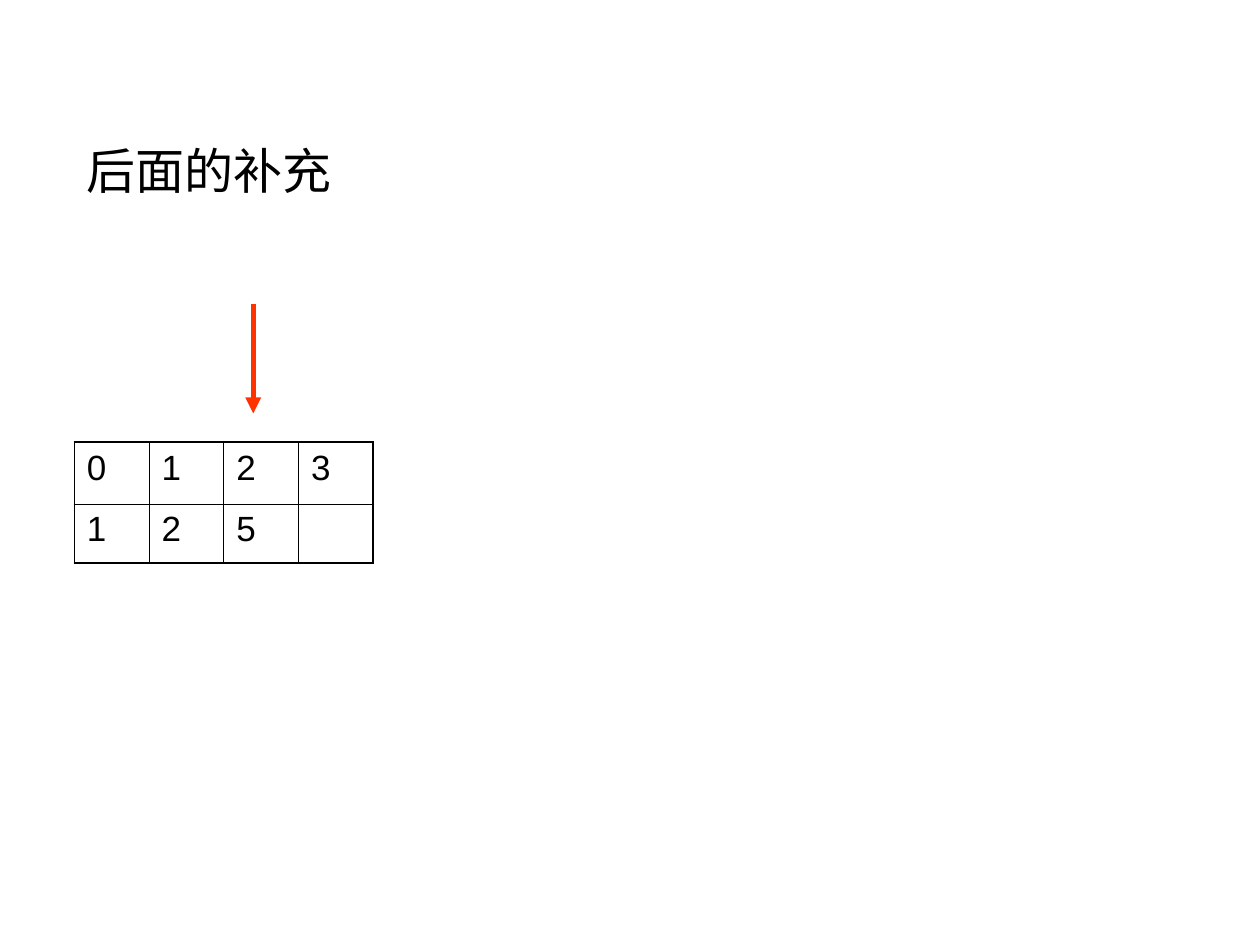
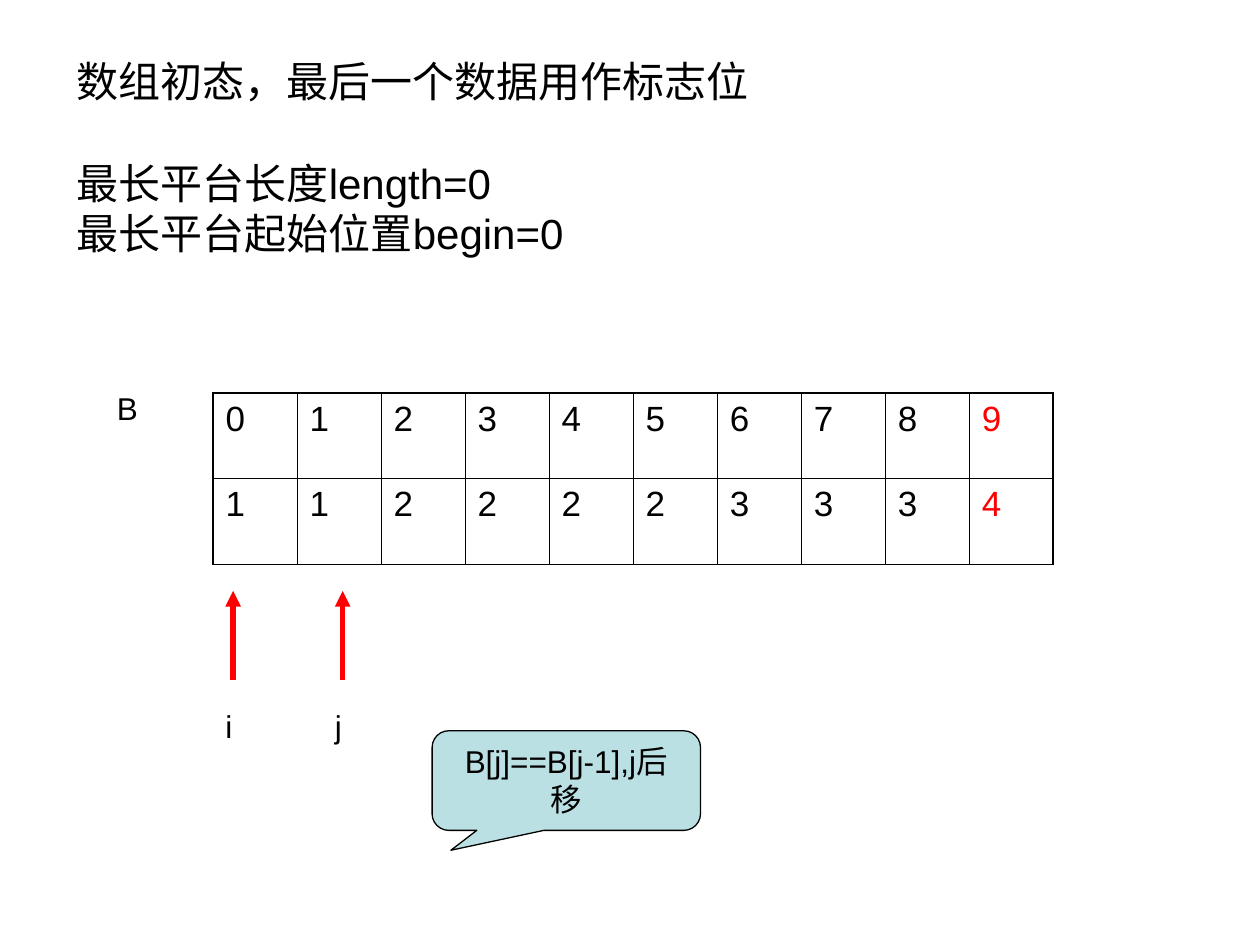
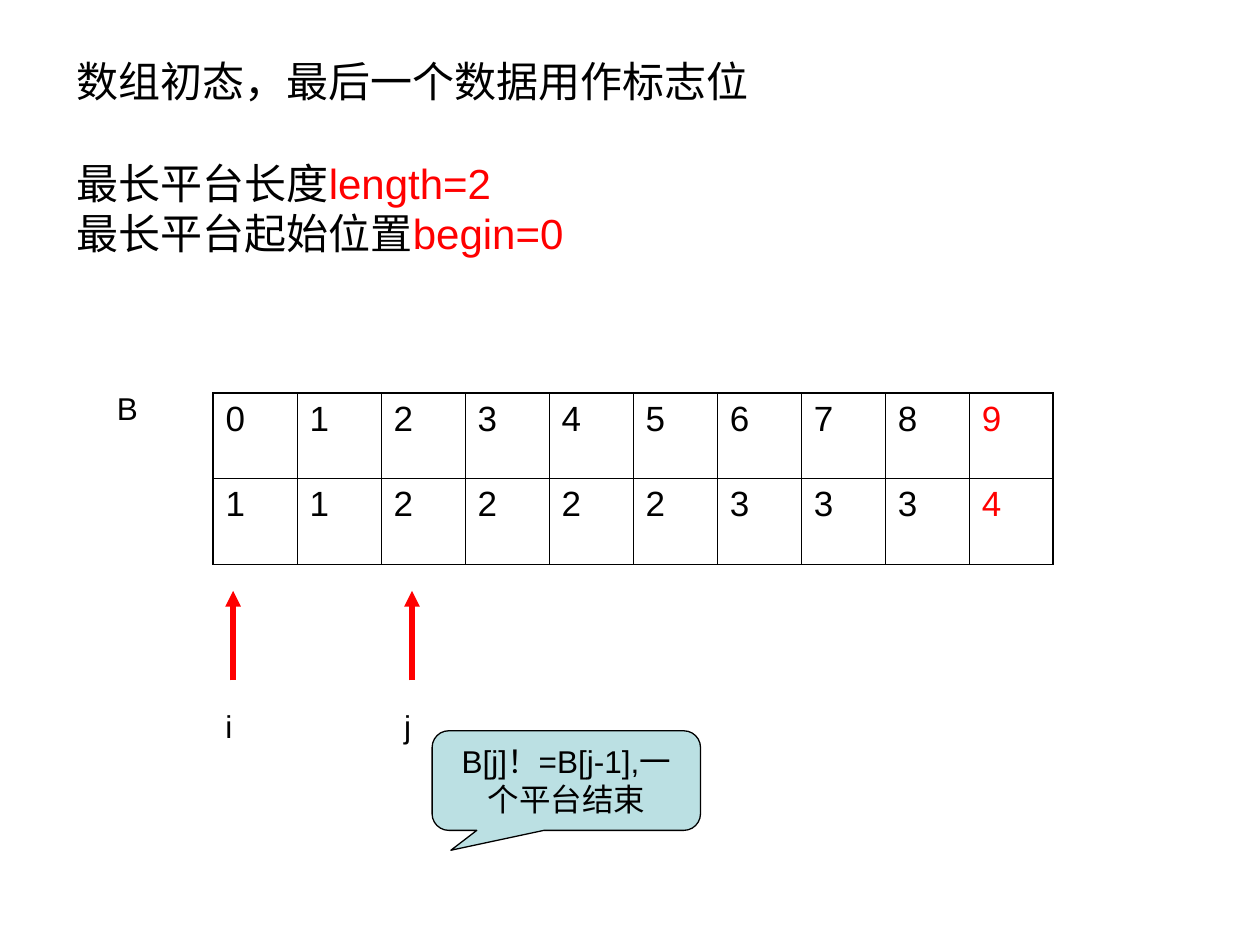
from lxml import etree
from pptx import Presentation
from pptx.dml.color import RGBColor
from pptx.enum.shapes import MSO_CONNECTOR, MSO_SHAPE
from pptx.enum.text import MSO_ANCHOR, PP_ALIGN
from pptx.oxml.ns import qn
from pptx.util import Inches, Pt

LINE = MSO_CONNECTOR.STRAIGHT
BUBBLE = MSO_SHAPE.ROUNDED_RECTANGULAR_CALLOUT
LEFT, MID = PP_ALIGN.LEFT, PP_ALIGN.CENTER
CENTRE = MSO_ANCHOR.MIDDLE
FONT = "Arial"
HEX = {"ink": "000000", "mark": "FF0000", "arrow": "FF3300", "bubble": "BBE0E3"}
INK = {name: RGBColor.from_string(code) for name, code in HEX.items()}

prs = Presentation()
prs.slide_width, prs.slide_height = Inches(10), Inches(7.5)
U = prs.slide_width // 100  # grid unit: a hundredth of the slide's width
THICK, THIN = Pt(1.08), Pt(0.45)


def add_arrow(shapes, x, start, end, ink):
    line = shapes.add_connector(LINE, int(x * U), int(start * U), int(x * U), int(end * U))
    line.line.color.rgb = INK[ink]
    line.line.width = Pt(3)
    etree.SubElement(line.line._get_or_add_ln(), qn("a:tailEnd"), type="triangle")
    etree.SubElement(line._element.spPr, qn("a:effectLst"))


def add_array(slide, x, y, step, heights, data, flag=None):
    rows, cols = len(data), len(data[0])
    table = slide.shapes.add_table(rows, cols, int(x * U), int(y * U),
                                   int(cols * step * U), int(sum(heights) * U)).table
    table.first_row = table.horz_banding = False
    for col in table.columns:
        col.width = int(step * U)
    for r, row in enumerate(data):
        table.rows[r].height = int(heights[r] * U)
        for c, text in enumerate(row):
            cell = table.cell(r, c)
            cell.text = text
            font = cell.text_frame.paragraphs[0].font
            font.name, font.size = FONT, Pt(20)
            font.color.rgb = INK["mark" if c == flag else "ink"]
            # Thick frame, thin inner lines
            outer = {"L": c == 0, "R": c == cols - 1, "T": r == 0, "B": r == rows - 1}
            props = cell._tc.get_or_add_tcPr()
            for side, edge in outer.items():
                border = etree.SubElement(props, qn(f"a:ln{side}"), w=str(THICK if edge else THIN))
                fill = etree.SubElement(border, qn("a:solidFill"))
                etree.SubElement(fill, qn("a:srgbClr"), val=HEX["ink"])
            cell.fill.background()


# What each slide says: title lines as (text, marked text), title box and size
HEAD = ("数组初态，最后一个数据用作标志位", "")
pages = [
    {"box": (5.9, 7.6, 85, 11.8), "size": 28, "lines": [("后面的补充", "")], "ink": "ink"},
    {"box": (5.1, 4.4, 85, 16.1), "size": 24, "ink": "ink", "j": 25.6,
     "lines": [HEAD, ("最长平台长度", "length=0"), ("最长平台起始位置", "begin=0")],
     "note": "B[j]==B[j-1],j后移"},
    {"box": (5.1, 4.4, 85, 16.1), "size": 24, "ink": "mark", "j": 31.1,
     "lines": [HEAD, ("最长平台长度", "length=2"), ("最长平台起始位置", "begin=0")],
     "note": "B[j]！=B[j-1],一个平台结束"},
]

for page in pages:
    slide = prs.slides.add_slide(prs.slide_layouts[5])

    # Title, with a gap of one line below its first line
    title = slide.shapes.title
    title.left, title.top, title.width, title.height = [int(n * U) for n in page["box"]]
    frame = title.text_frame
    frame.vertical_anchor = CENTRE
    for n, (text, value) in enumerate(page["lines"]):
        para = frame.add_paragraph() if n else frame.paragraphs[0]
        para.alignment = LEFT
        para.space_before = Pt(29 if n == 1 else 0)
        para.font.name, para.font.size = FONT, Pt(page["size"])
        para.font.color.rgb = INK["ink"]
        para.add_run().text = text
        if value:
            run = para.add_run()
            run.text = value
            run.font.color.rgb = INK[page["ink"]]

    # Short array with one arrow from above
    if "note" not in page:
        add_array(slide, 5.9, 35.1, 5.93, (4.9, 4.7), ["0123", ("1", "2", "5", "")])
        add_arrow(slide.shapes, 20.1, 24.1, 32.8, "arrow")
        continue

    # Array B, its last column used as a flag
    add_array(slide, 16.9, 31.2, 6.67, (6.8, 6.8), ["0123456789", "1122223334"], flag=9)

    # Name of the array, and the two index marks
    for name, x, y, wide in (("B", 8.3, 30.4, 6.3), ("i", 16.9, 55.6, 3.1),
                             ("j", page["j"], 55.6, 3.1)):
        shapes = slide.shapes
        if name != "B":
            shapes = shapes.add_group_shape().shapes
            add_arrow(shapes, x + 1.6, 54, 46.9, "mark")
        label = shapes.add_textbox(int(x * U), int(y * U), int(wide * U), 4 * U)
        label.text_frame.word_wrap = True
        label.text_frame.text = name
        font = label.text_frame.paragraphs[0].font
        font.name, font.size, font.color.rgb = FONT, Pt(18), INK["ink"]

    # Speech bubble with the step taken
    bubble = slide.shapes.add_shape(BUBBLE, int(34.3 * U), 58 * U, int(21.3 * U), int(7.9 * U))
    bubble.adjustments[0], bubble.adjustments[1] = -0.43, 0.7
    bubble.shadow.inherit = False
    bubble.fill.solid()
    bubble.fill.fore_color.rgb = INK["bubble"]
    bubble.line.color.rgb = INK["ink"]
    bubble.line.width = Pt(0.75)
    frame = bubble.text_frame
    frame.word_wrap = True
    frame.vertical_anchor = MSO_ANCHOR.TOP
    frame.text = page["note"]
    para = frame.paragraphs[0]
    para.alignment = MID
    para.font.name, para.font.size, para.font.color.rgb = FONT, Pt(18), INK["ink"]

prs.save("out.pptx")
